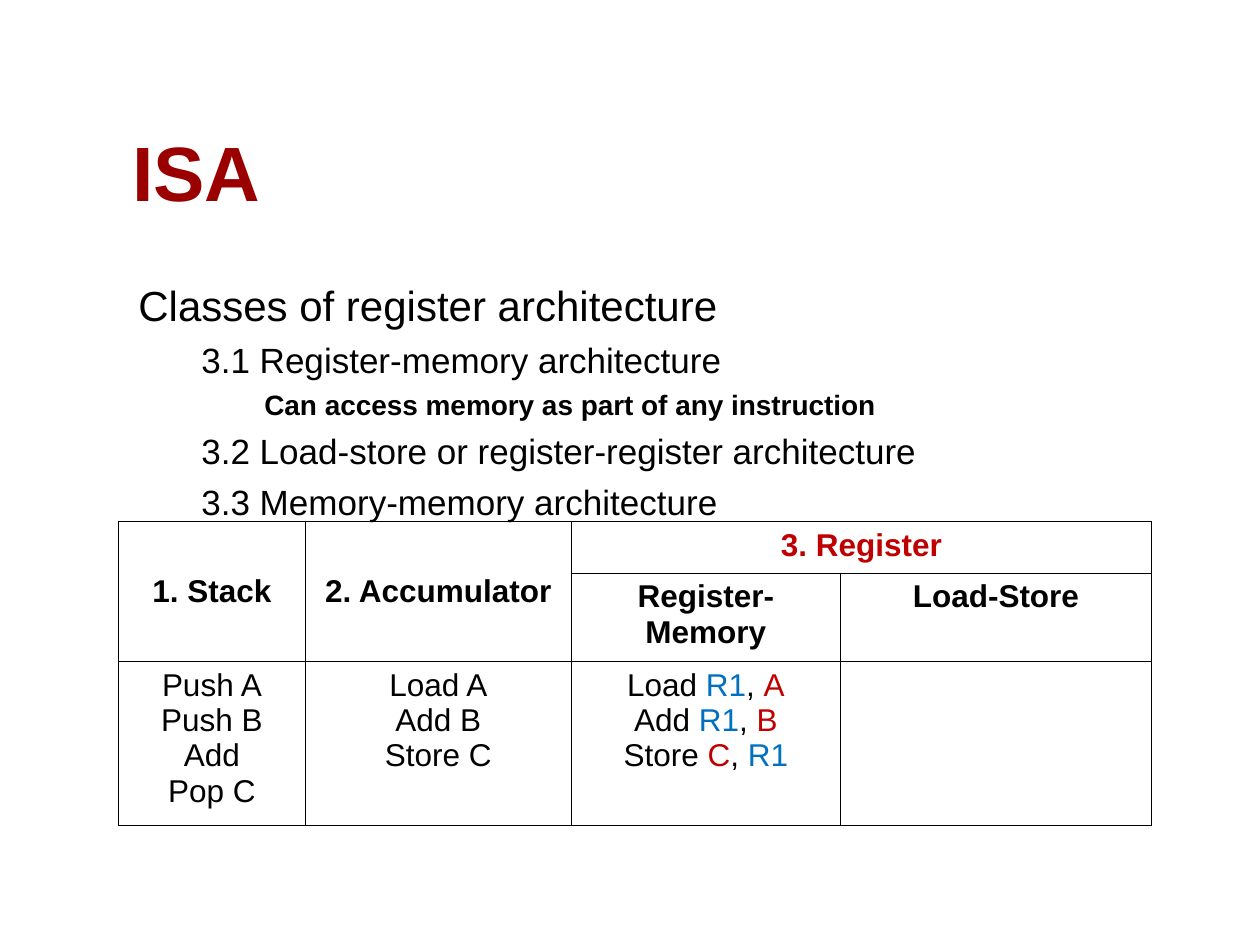
from dataclasses import dataclass

import lxml.etree
import pptx
import pptx.dml.color
import pptx.enum.text
import pptx.oxml.ns
import pptx.util

Pt = pptx.util.Pt
PP_ALIGN = pptx.enum.text.PP_ALIGN
MSO_ANCHOR = pptx.enum.text.MSO_ANCHOR


@dataclass(frozen=True)
class Theme:
    font: str = "Arial"
    title: str = "9A0000"
    text: str = "000000"
    memory: str = "C00000"
    register: str = "0070C0"
    title_size: int = 44
    body_sizes: tuple = (24, 20, 16)
    table_size: int = 18
    border: float = 0.45


class Deck:
    """Holds the theme and the current slide, and adds each kind of element."""

    def __init__(self, prs, theme):
        self.theme = theme
        self.s = prs.slides.add_slide(prs.slide_layouts[5])

    def run(self, p, text, size, color=None, bold=False):
        r = p.add_run()
        r.text = text
        r.font.name = self.theme.font
        r.font.size = Pt(size)
        r.font.bold = bold
        r.font.color.rgb = pptx.dml.color.RGBColor.from_string(color or self.theme.text)

    def title(self, text, left, top, width, height):
        sp = self.s.shapes.title
        sp.left, sp.top, sp.width, sp.height = map(Pt, (left, top, width, height))
        tf = sp.text_frame
        tf.word_wrap = True
        tf.auto_size = pptx.enum.text.MSO_AUTO_SIZE.SHAPE_TO_FIT_TEXT
        tf.vertical_anchor = MSO_ANCHOR.BOTTOM
        p = tf.paragraphs[0]
        p.alignment = PP_ALIGN.LEFT
        self.run(p, text, self.theme.title_size, self.theme.title, True)

    def outline(self, items, left, top, width, height):
        sp = self.s.shapes.add_textbox(*map(Pt, (left, top, width, height)))
        tf = sp.text_frame
        tf.word_wrap = True
        tf.margin_top = Pt(9.6)
        for i, (level, text) in enumerate(items):
            p = tf.add_paragraph() if i else tf.paragraphs[0]
            p.level = level
            hanging = (27, 22.5, 18)[level]
            pPr = p._p.get_or_add_pPr()
            pPr.set("marL", str(Pt(36 * level + hanging)))
            pPr.set("indent", str(-Pt(hanging)))
            if i:
                p.space_before = Pt(6 - level)
            self.run(p, text, self.theme.body_sizes[level], bold=level == 2)

    def borders(self, cell):
        tcPr = cell._tc.get_or_add_tcPr()
        qn = pptx.oxml.ns.qn
        for side in ("a:lnL", "a:lnR", "a:lnT", "a:lnB"):
            ln = lxml.etree.SubElement(tcPr, qn(side), w=str(Pt(self.theme.border)))
            fill = lxml.etree.SubElement(ln, qn("a:solidFill"))
            lxml.etree.SubElement(fill, qn("a:srgbClr"), val=self.theme.text)

    def table(self, left, top, widths, heights, merges):
        box = map(Pt, (left, top, sum(widths), sum(heights)))
        table = self.s.shapes.add_table(len(heights), len(widths), *box).table
        table.first_row = table.horz_banding = False
        for column, width in zip(table.columns, widths):
            column.width = Pt(width)
        for row, height in zip(table.rows, heights):
            row.height = Pt(height)
        for cell in table.iter_cells():
            self.borders(cell)
            cell.fill.background()
        for start, end in merges:
            table.cell(*start).merge(table.cell(*end))
        return table

    def cell(self, cell, lines, bold=False, anchor=MSO_ANCHOR.TOP):
        cell.vertical_anchor = anchor
        tf = cell.text_frame
        for i, runs in enumerate(lines):
            p = tf.add_paragraph() if i else tf.paragraphs[0]
            p.alignment = PP_ALIGN.CENTER
            for text, color in runs:
                self.run(p, text, self.theme.table_size, color, bold)


def main():
    prs = pptx.Presentation()
    prs.slide_width, prs.slide_height = Pt(720), Pt(540)
    theme = Theme()
    deck = Deck(prs, theme)
    deck.title("ISA", 68.4, 67.7, 643, 59.8)
    deck.outline([
        (0, "Classes of register architecture"),
        (1, "3.1 Register-memory architecture"),
        (2, "Can access memory as part of any instruction"),
        (1, "3.2 Load-store or register-register architecture"),
        (1, "3.3 Memory-memory architecture"),
    ], 72, 149.8, 638.6, 329.8)

    table = deck.table(
        67.7, 298, (106.8, 152, 153.8, 177.8), (29.4, 50.6, 93.6),
        [((0, 0), (1, 0)), ((0, 1), (1, 1)), ((0, 2), (0, 3))],
    )
    headings = [
        (0, 0, "1. Stack", theme.text, MSO_ANCHOR.MIDDLE),
        (0, 1, "2. Accumulator", theme.text, MSO_ANCHOR.MIDDLE),
        (0, 2, "3. Register", theme.memory, MSO_ANCHOR.TOP),
        (1, 2, "Register-Memory", theme.text, MSO_ANCHOR.TOP),
        (1, 3, "Load-Store", theme.text, MSO_ANCHOR.TOP),
    ]
    for row, column, text, color, anchor in headings:
        deck.cell(table.cell(row, column), [[(text, color)]], True, anchor)

    programs = [("Push A", "Push B", "Add", "Pop C"), ("Load A", "Add B", "Store C")]
    for column, program in enumerate(programs):
        deck.cell(table.cell(2, column), [[(text, theme.text)] for text in program])

    operands = {"R1": theme.register, "A": theme.memory, "B": theme.memory, "C": theme.memory}
    instructions = [("Load ", "R1", "A"), ("Add ", "R1", "B"), ("Store ", "C", "R1")]
    deck.cell(table.cell(2, 2), [
        [(op, theme.text), (a, operands[a]), (", ", theme.text), (b, operands[b])]
        for op, a, b in instructions
    ])
    prs.save("out.pptx")


if __name__ == "__main__":
    main()
